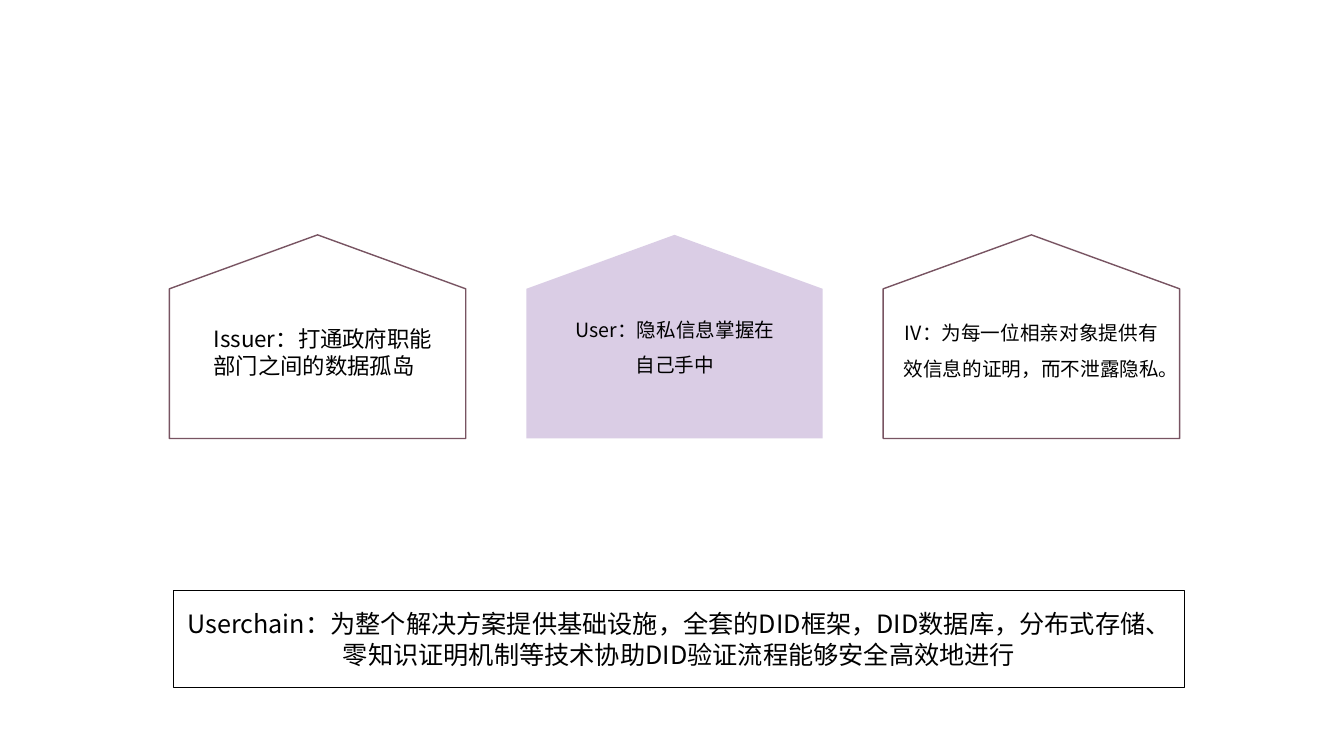
"""Build a slide with three house-shaped role cards above a foundation banner."""
from dataclasses import dataclass
from typing import Optional

import pptx
import pptx.dml.color
import pptx.enum.shapes
import pptx.enum.text
import pptx.oxml.ns
import pptx.util
from lxml import etree

EMU_PER_PX = 9144
FONT_NAME = "Noto Sans CJK SC"
BLACK = "000000"
WHITE = "FFFFFF"
PLUM = "785462"
LILAC = "DACDE5"
HOUSE_LEFT, HOUSE_TOP, HOUSE_PITCH = 214, 187, 354
HOUSE_WIDTH, HOUSE_HEIGHT = 202, 294
ROOF_RATIO = 0.265
CENTER = pptx.enum.text.PP_ALIGN.CENTER
LEFT = pptx.enum.text.PP_ALIGN.LEFT


@dataclass(frozen=True)
class Card:
    text: str
    left: int
    top: int
    width: int
    height: int
    size: int
    alignment: pptx.enum.text.PP_ALIGN = CENTER
    line_spacing: float = 1.5
    fill: Optional[str] = None
    line: Optional[str] = None


CARDS = [
    Card("Issuer：打通政府职能部门之间的数据孤岛", 202, 318, 249, 64, 16,
         alignment=LEFT, line_spacing=1.0, line=PLUM),
    Card("User：隐私信息掌握在自己手中", 557, 299, 225, 81, 14, fill=LILAC),
    Card("IV：为每一位相亲对象提供有效信息的证明，而不泄露隐私。",
         878, 302, 290, 81, 14, line=PLUM),
]
FOUNDATION = (
    "Userchain：为整个解决方案提供基础设施，全套的DID框架，DID数据库，"
    "分布式存储、零知识证明机制等技术协助DID验证流程能够安全高效地进行"
)


def px(length: int) -> pptx.util.Emu:
    return pptx.util.Emu(length * EMU_PER_PX)


def color(value: str) -> pptx.dml.color.RGBColor:
    return pptx.dml.color.RGBColor.from_string(value)


def style_shape(shape, fill: Optional[str], line: Optional[str]) -> None:
    shape.shadow.inherit = False
    if fill:
        shape.fill.solid()
        shape.fill.fore_color.rgb = color(fill)
    else:
        shape.fill.background()
    if line:
        shape.line.color.rgb = color(line)
        shape.line.width = pptx.util.Pt(1)
    else:
        shape.line.fill.background()


def write_text(shape, text: str, size: int, alignment: pptx.enum.text.PP_ALIGN,
               line_spacing: float = 1.0) -> None:
    shape.text_frame.word_wrap = True
    paragraph = shape.text_frame.paragraphs[0]
    paragraph.alignment = alignment
    paragraph.line_spacing = line_spacing
    run = paragraph.add_run()
    run.text = text
    run.font.size = pptx.util.Pt(size)
    run.font.name = FONT_NAME
    run.font.color.rgb = color(BLACK)
    east_asian = etree.SubElement(run.font._element, pptx.oxml.ns.qn("a:ea"))
    east_asian.set("typeface", FONT_NAME)


def draw_card(slide: pptx.slide.Slide, card: Card, house_left: int) -> None:
    group = slide.shapes.add_group_shape()
    house = group.shapes.add_shape(
        pptx.enum.shapes.MSO_SHAPE.PENTAGON,
        px(house_left), px(HOUSE_TOP), px(HOUSE_WIDTH), px(HOUSE_HEIGHT))
    house.rotation = 270
    house.adjustments[0] = ROOF_RATIO
    style_shape(house, card.fill, card.line)
    label = group.shapes.add_textbox(
        px(card.left), px(card.top), px(card.width), px(card.height))
    write_text(label, card.text, card.size, card.alignment, card.line_spacing)
    label.text_frame.auto_size = pptx.enum.text.MSO_AUTO_SIZE.SHAPE_TO_FIT_TEXT


def draw_foundation(slide: pptx.slide.Slide) -> None:
    banner = slide.shapes.add_shape(
        pptx.enum.shapes.MSO_SHAPE.RECTANGLE, px(172), px(586), px(1003), px(96))
    style_shape(banner, WHITE, BLACK)
    banner.text_frame.vertical_anchor = pptx.enum.text.MSO_ANCHOR.MIDDLE
    write_text(banner, FOUNDATION, 18, CENTER)


def main() -> None:
    presentation = pptx.Presentation()
    presentation.slide_width = px(1333)
    presentation.slide_height = px(750)
    slide = presentation.slides.add_slide(presentation.slide_layouts[6])
    for index, card in enumerate(CARDS):
        draw_card(slide, card, HOUSE_LEFT + index * HOUSE_PITCH)
    draw_foundation(slide)
    presentation.save("out.pptx")


if __name__ == "__main__":
    main()
